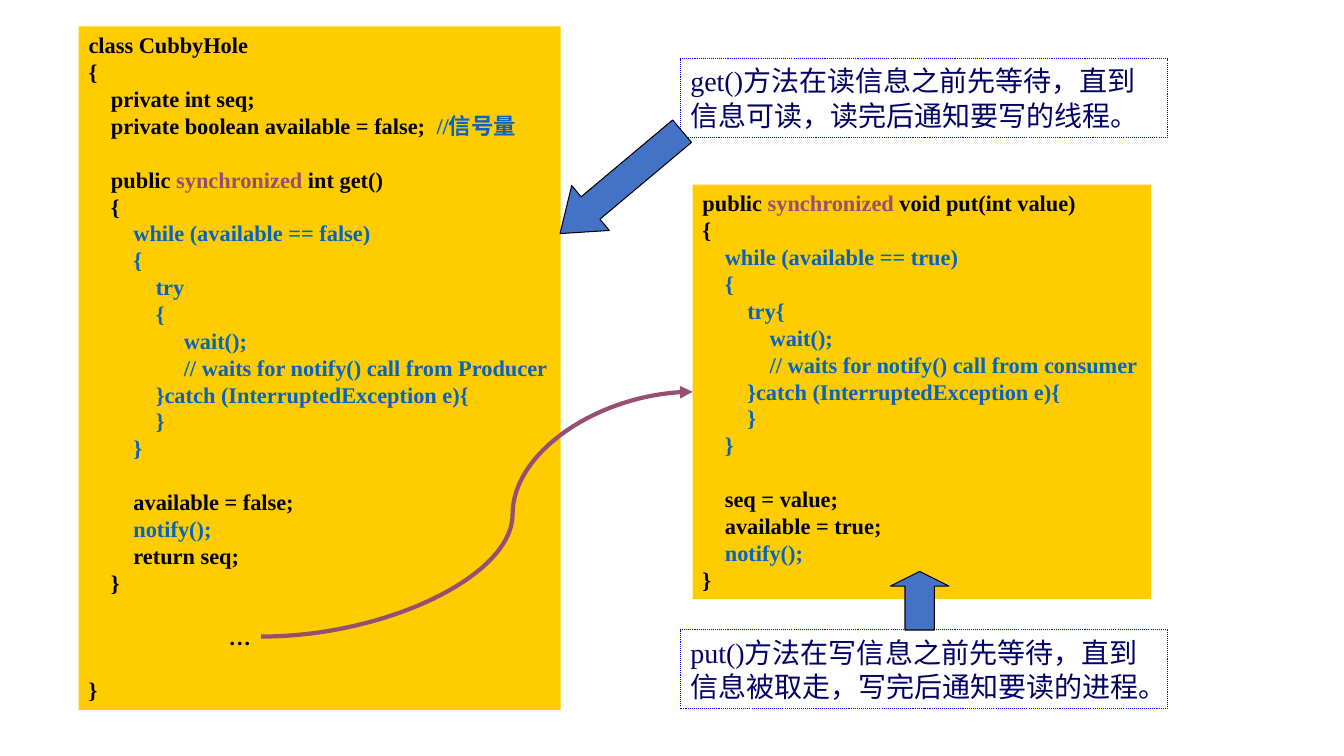
"""Build the slide on synchronized get() and put() methods."""
from dataclasses import dataclass

import lxml.etree
import pptx
import pptx.dml.color
import pptx.enum.dml
import pptx.enum.lang
import pptx.enum.shapes
import pptx.enum.text
import pptx.oxml
import pptx.oxml.ns
import pptx.util

Pt = pptx.util.Pt
qn = pptx.oxml.ns.qn
MSO_SHAPE = pptx.enum.shapes.MSO_SHAPE


@dataclass(frozen=True)
class Theme:
    """Colours, font and type sizes of the slide."""
    panel: str = "FFCC00"
    code: str = "000000"
    sync: str = "954F72"
    wait: str = "0563C1"
    note: str = "000066"
    border: str = "0000FF"
    arrow: str = "4472C4"
    font: str = "Times New Roman"
    code_size: float = 16
    code_line: float = 19.2
    note_size: float = 20
    note_line: float = 24.3
    space: float = 4


T = Theme()

GET_CODE = [
    (0, [("class CubbyHole", T.code)], 0),
    (0, [("{", T.code)], 0),
    (4, [("private int seq;", T.code)], 0),
    (4, [("private boolean available = false;  ", T.code), ("//信号量", T.wait)], 0),
    (4, [("public ", T.code), ("synchronized", T.sync), (" int get()", T.code)], 1),
    (4, [("{", T.code)], 0),
    (8, [("while (available == false)", T.wait)], 0),
    (8, [("{", T.wait)], 0),
    (12, [("try", T.wait)], 0),
    (12, [("{", T.wait)], 0),
    (17, [("wait();", T.wait)], 0),
    (17, [("// waits for notify() call from Producer", T.wait)], 0),
    (12, [("}catch (InterruptedException e){", T.wait)], 0),
    (12, [("}", T.wait)], 0),
    (8, [("}", T.wait)], 0),
    (8, [("available = false;", T.code)], 1),
    (8, [("notify();", T.wait)], 0),
    (8, [("return seq;", T.code)], 0),
    (4, [("}", T.code)], 0),
    (0, [("}", T.code)], 3),
]

PUT_CODE = [
    (0, [("public ", T.code), ("synchronized", T.sync), (" void put(int value)", T.code)], 0),
    (0, [("{", T.code)], 0),
    (4, [("while (available == true)", T.wait)], 0),
    (4, [("{", T.wait)], 0),
    (8, [("try{", T.wait)], 0),
    (12, [("wait();", T.wait)], 0),
    (12, [("// waits for notify() call from consumer", T.wait)], 0),
    (8, [("}catch (InterruptedException e){", T.wait)], 0),
    (8, [("}", T.wait)], 0),
    (4, [("}", T.wait)], 0),
    (4, [("seq = value;", T.code)], 1),
    (4, [("available = true;", T.code)], 0),
    (4, [("notify();", T.wait)], 0),
    (0, [("}", T.code)], 0),
]


def rgb(color):
    """Turn a hex string into a colour."""
    return pptx.dml.color.RGBColor.from_string(color)


def add_run(p, text, *, size, color, bold=False):
    """Append formatted text to a paragraph."""
    r = p.add_run()
    r.text = text
    r.font.name = T.font
    r.font.size = Pt(size)
    r.font.bold = bold
    r.font.color.rgb = rgb(color)
    r.font.language_id = pptx.enum.lang.MSO_LANGUAGE_ID.SIMPLIFIED_CHINESE


def add_shape(s, kind, box, *, fill=None, line=None, dash=None):
    """Add a preset shape with an optional fill and thin outline."""
    sp = s.shapes.add_shape(kind, *map(Pt, box))
    sp.shadow.inherit = False
    if fill:
        sp.fill.solid()
        sp.fill.fore_color.rgb = rgb(fill)
    else:
        sp.fill.background()
    if line:
        sp.line.color.rgb = rgb(line)
        sp.line.width = Pt(0.75)
        sp.line.dash_style = dash
    else:
        sp.line.fill.background()
    tf = sp.text_frame
    tf.word_wrap = True
    tf.vertical_anchor = pptx.enum.text.MSO_ANCHOR.TOP
    tf.paragraphs[0].alignment = pptx.enum.text.PP_ALIGN.LEFT
    return sp


def code_panel(s, box, lines):
    """Fill a panel with indented code, gaps given in lines."""
    tf = add_shape(s, MSO_SHAPE.RECTANGLE, box, fill=T.panel).text_frame
    for i, (indent, parts, gap) in enumerate(lines):
        p = tf.add_paragraph() if i else tf.paragraphs[0]
        p.alignment = pptx.enum.text.PP_ALIGN.LEFT
        p.line_spacing = Pt(T.code_line)
        p.space_before = Pt(gap * T.code_line)
        pPr = p._p.get_or_add_pPr()
        pPr.set("marL", str(Pt(indent * T.space)))
        pPr.set("indent", "0")
        for text, color in parts:
            add_run(p, text, size=T.code_size, color=color, bold=True)


def note(s, box, text):
    """Add a dotted explanation box."""
    sp = add_shape(s, MSO_SHAPE.RECTANGLE, box, line=T.border,
                   dash=pptx.enum.dml.MSO_LINE.ROUND_DOT)
    p = sp.text_frame.paragraphs[0]
    p.line_spacing = Pt(T.note_line)
    add_run(p, text, size=T.note_size, color=T.note)


def block_arrow(s, kind, box, *, head, rotation=0):
    """Add a block arrow from a note to its method."""
    sp = add_shape(s, kind, box, fill=T.arrow, line=T.code)
    sp.adjustments[0] = 0.5
    sp.adjustments[1] = head
    sp.rotation = rotation


def continuation(s, box, target):
    """Place the ellipsis in its box and curve an arrow to the target."""
    x, y, w, h = box
    tf = s.shapes.add_textbox(*map(Pt, box)).text_frame
    tf.word_wrap = False
    add_run(tf.paragraphs[0], "…", size=T.code_size, color=T.code, bold=True)
    cx = s.shapes.add_connector(pptx.enum.shapes.MSO_CONNECTOR.CURVE,
                                *map(Pt, (x + w, y + h / 2, *target)))
    cx.line.color.rgb = rgb(T.sync)
    cx.line.width = Pt(3)
    spPr = cx._element.spPr
    av = spPr.find(qn("a:prstGeom")).get_or_add_avLst()
    lxml.etree.SubElement(av, qn("a:gd"), name="adj1", fmla="val 58300")
    lxml.etree.SubElement(spPr.find(qn("a:ln")), qn("a:tailEnd"), type="triangle")
    lxml.etree.SubElement(spPr, qn("a:effectLst"))


def synchronized_slide(s, box):
    """Lay out both methods, their notes and the arrows."""
    x, y, w, h = box
    put = (x + 438.5, y + 113, 327.5, 296)
    code_panel(s, (x, y, 344.2, h), GET_CODE)
    code_panel(s, put, PUT_CODE)
    continuation(s, (x + 100, y + 422.5, 30.3, 26.6), (put[0], put[1] + put[3] / 2))
    notes = [
        (23, "get()方法在读信息之前先等待，直到信息可读，读完后通知要写的线程。"),
        (431, "put()方法在写信息之前先等待，直到信息被取走，写完后通知要读的进程。"),
    ]
    for top, text in notes:
        note(s, (x + 429.8, y + top, w - 429.8, 56.3), text)
    block_arrow(s, MSO_SHAPE.UP_ARROW, (x + 579.8, y + 389.3, 41.8, 41.8), head=0.25)
    block_arrow(s, MSO_SHAPE.LEFT_ARROW, (x + 330.5, y + 90.5, 113.8, 41.8),
                head=0.68, rotation=320)


prs = pptx.Presentation()
prs.slide_width, prs.slide_height = Pt(960), Pt(540)
synchronized_slide(prs.slides.add_slide(prs.slide_layouts[6]), (56.2, 18.9, 777.6, 488.2))
prs.save("out.pptx")
